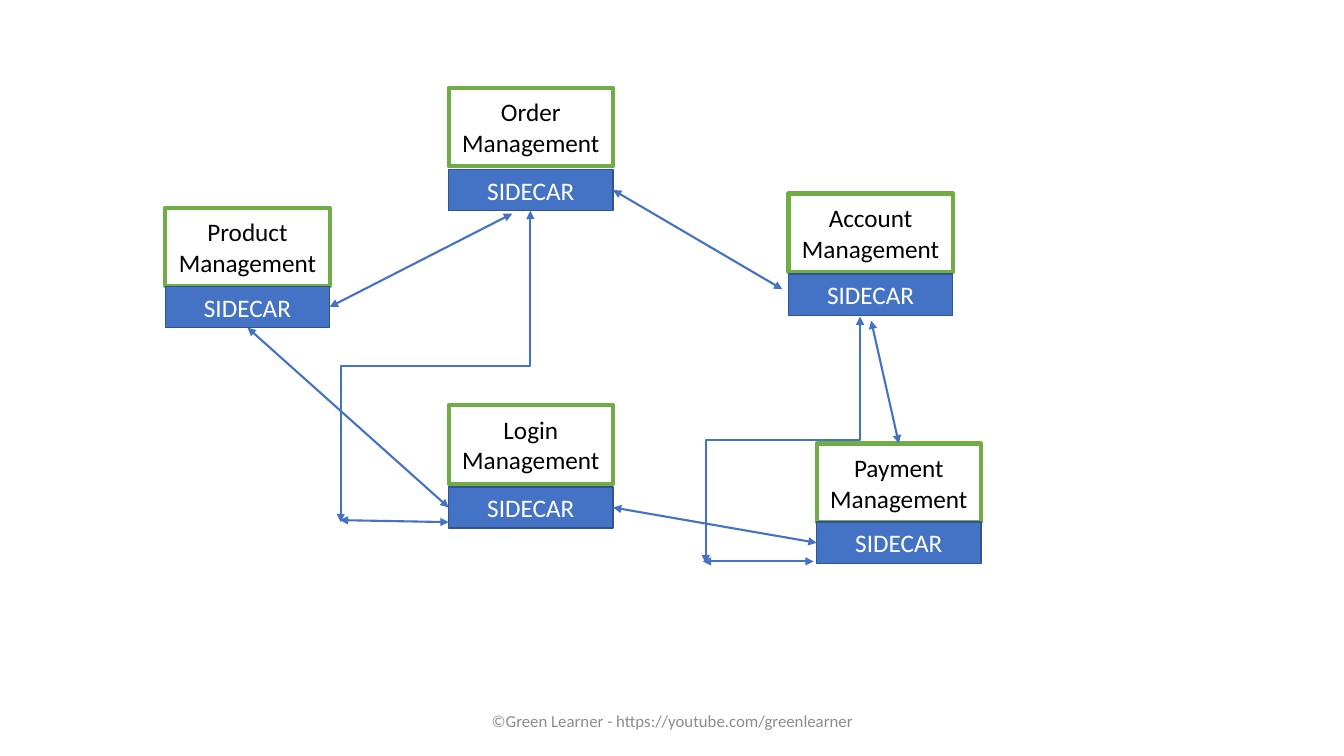
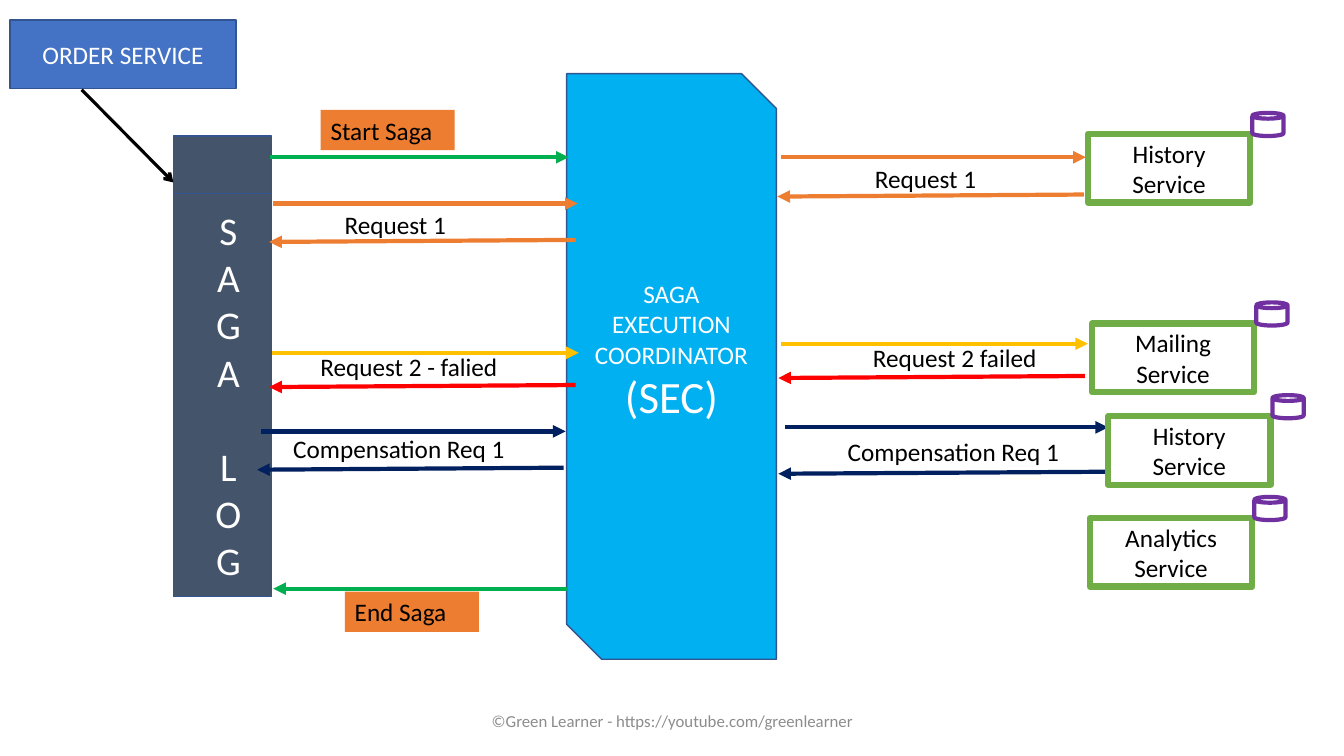
"""Build two slides: a sidecar service mesh and a saga execution flow."""
from lxml import etree
from pptx import Presentation
from pptx.dml.color import RGBColor
from pptx.enum.shapes import MSO_CONNECTOR, MSO_SHAPE
from pptx.enum.text import MSO_ANCHOR, MSO_AUTO_SIZE, PP_ALIGN
from pptx.oxml.ns import qn
from pptx.util import Inches, Pt

RECTANGLE = MSO_SHAPE.RECTANGLE
CAN = MSO_SHAPE.CAN
LOG_SHAPE = MSO_SHAPE.FLOWCHART_INTERNAL_STORAGE
SNIPPED = MSO_SHAPE.SNIP_2_DIAG_RECTANGLE
STRAIGHT = MSO_CONNECTOR.STRAIGHT
ELBOW = MSO_CONNECTOR.ELBOW
LEFT, CENTER = PP_ALIGN.LEFT, PP_ALIGN.CENTER
TOP, MIDDLE = MSO_ANCHOR.TOP, MSO_ANCHOR.MIDDLE
FIT_SHAPE = MSO_AUTO_SIZE.SHAPE_TO_FIT_TEXT
TOP_SIDE, LEFT_SIDE, BOTTOM_SIDE, RIGHT_SIDE = range(4)

FONT = "Calibri"
WHITE = RGBColor(0xFF, 0xFF, 0xFF)
BLACK = RGBColor(0x00, 0x00, 0x00)
GREY = RGBColor(0x8C, 0x8C, 0x8C)
BLUE = RGBColor(0x44, 0x72, 0xC4)
DARK_BLUE = RGBColor(0x32, 0x54, 0x91)
SKY = RGBColor(0x00, 0xB0, 0xF0)
SLATE = RGBColor(0x44, 0x54, 0x6A)
NAVY = RGBColor(0x00, 0x20, 0x60)
LIGHT_GREEN = RGBColor(0x70, 0xAD, 0x47)
GREEN = RGBColor(0x00, 0xB0, 0x50)
ORANGE = RGBColor(0xED, 0x7D, 0x31)
YELLOW = RGBColor(0xFF, 0xC0, 0x00)
RED = RGBColor(0xFF, 0x00, 0x00)
PURPLE = RGBColor(0x70, 0x30, 0xA0)
FOOTER = "©Green Learner - https://youtube.com/greenlearner"


def add_box(slide, text, place, kind=None, fill=None, line=None, width=1,
            size=18, color=BLACK, align=CENTER, anchor=MIDDLE, fit=False):
    """Add a shape, or a text box when no kind is given, one paragraph per text line."""
    bounds = [Inches(length) for length in place]
    if kind is None:
        shape = slide.shapes.add_textbox(*bounds)
    else:
        shape = slide.shapes.add_shape(kind, *bounds)
        shape.shadow.inherit = False
    if fill is not None:
        shape.fill.solid()
        shape.fill.fore_color.rgb = fill
    if line is not None:
        shape.line.color.rgb = line
        shape.line.width = Pt(width)
    frame = shape.text_frame
    frame.word_wrap = True
    frame.vertical_anchor = anchor
    if fit:
        frame.auto_size = FIT_SHAPE
    frame.text = text
    for paragraph in frame.paragraphs:
        paragraph.alignment = align
        paragraph.font.name = FONT
        paragraph.font.size = Pt(size)
        paragraph.font.color.rgb = color
    return shape


def add_arrow(slide, start, end, color=BLUE, width=1.5, head=None, tail="triangle", kind=STRAIGHT):
    """Add an arrow; an elbow leaves its start vertically."""
    if kind == ELBOW:
        middle_x, middle_y = (start[0] + end[0]) / 2, (start[1] + end[1]) / 2
        half_x, half_y = (end[1] - start[1]) / 2, (start[0] - end[0]) / 2
        start = middle_x - half_x, middle_y - half_y
        end = middle_x + half_x, middle_y + half_y
    connector = slide.shapes.add_connector(kind, *[Inches(length) for length in (*start, *end)])
    connector.line.color.rgb = color
    connector.line.width = Pt(width)
    properties = connector._element.spPr
    if kind == ELBOW:
        properties.find(qn("a:xfrm")).set("rot", "5400000")
    outline = properties.find(qn("a:ln"))
    for tag, style in (("a:headEnd", head), ("a:tailEnd", tail)):
        if style:
            etree.SubElement(outline, qn(tag)).set("type", style)
    etree.SubElement(properties, qn("a:effectLst"))
    return connector


presentation = Presentation()
presentation.slide_width = Inches(13.33)
presentation.slide_height = Inches(7.5)
blank_layout = presentation.slide_layouts[6]
mesh_slide, saga_slide = [presentation.slides.add_slide(blank_layout) for _ in range(2)]
for slide in (mesh_slide, saga_slide):
    add_box(slide, FOOTER, (4.42, 6.95, 4.5, 0.4), size=12, color=GREY)

services = [
    ("Order", 4.45, 0.87, 1.68),
    ("Login", 4.45, 4.02, 4.83),
    ("Account", 7.82, 1.92, 2.72),
    ("Payment", 8.1, 4.4, 5.18),
    ("Product", 1.64, 2.06, 2.84),
]
managers, sidecars = {}, {}
for name, left, top, sidecar_top in services:
    managers[name] = add_box(mesh_slide, f"{name} Management", (left, top, 1.63, 0.78), RECTANGLE,
                             fill=WHITE, line=LIGHT_GREEN, width=3)
    sidecars[name] = add_box(mesh_slide, "SIDECAR", (left, sidecar_top, 1.63, 0.41), RECTANGLE,
                             fill=BLUE, line=DARK_BLUE, color=WHITE)

mesh_links = [
    ((3.27, 3.05), (5.08, 2.12), (sidecars["Product"], RIGHT_SIDE), None),
    ((6.08, 1.89), (7.76, 2.87), (sidecars["Order"], RIGHT_SIDE), None),
    ((8.64, 3.18), (8.92, 4.4), None, (managers["Payment"], TOP_SIDE)),
    ((2.46, 3.25), (4.45, 5.03), (sidecars["Product"], BOTTOM_SIDE), (sidecars["Login"], LEFT_SIDE)),
    ((6.08, 5.03), (8.07, 5.41), (sidecars["Login"], RIGHT_SIDE), (sidecars["Payment"], LEFT_SIDE)),
    ((3.37, 5.16), (4.45, 5.18), None, None),
    ((6.97, 5.57), (8.07, 5.57), None, None),
]
for start, end, begin_joint, end_joint in mesh_links:
    connector = add_arrow(mesh_slide, start, end, head="triangle")
    if begin_joint:
        connector.begin_connect(*begin_joint)
    if end_joint:
        connector.end_connect(*end_joint)
for start, end in (((5.26, 2.09), (3.38, 5.18)), ((8.53, 3.14), (7, 5.59))):
    add_arrow(mesh_slide, start, end, head="triangle", kind=ELBOW)

add_box(saga_slide, "ORDER SERVICE", (0.1, 0.2, 2.24, 0.68), RECTANGLE,
        fill=BLUE, line=DARK_BLUE, color=WHITE)
saga_log = add_box(saga_slide, "\n".join("SAGALOG"), (1.72, 1.35, 0.97, 4.57), LOG_SHAPE,
                   fill=SLATE, line=DARK_BLUE, size=28, color=WHITE)
saga_log.text_frame.paragraphs[4].space_before = Pt(34)
coordinator = add_box(saga_slide, "SAGA\nEXECUTION\nCOORDINATOR\n(SEC)", (5.62, 0.73, 2.08, 5.81),
                      SNIPPED, fill=SKY, line=DARK_BLUE, color=WHITE)
coordinator.text_frame.margin_bottom = Inches(0.36)
coordinator.text_frame.paragraphs[3].font.size = Pt(32)

saga_arrows = [
    (GREEN, (2.68, 1.56), (5.64, 1.56)),
    (ORANGE, (7.75, 1.56), (10.77, 1.56)),
    (YELLOW, (7.75, 3.41), (10.79, 3.41)),
    (NAVY, (7.79, 4.24), (10.99, 4.24)),
    (ORANGE, (10.75, 1.93), (7.71, 1.95)),
    (RED, (10.76, 3.73), (7.72, 3.75)),
    (NAVY, (10.99, 4.68), (7.72, 4.7)),
    (ORANGE, (2.71, 2.02), (5.73, 2.02)),
    (ORANGE, (5.71, 2.38), (2.67, 2.4)),
    (YELLOW, (2.7, 3.5), (5.74, 3.5)),
    (RED, (5.71, 3.82), (2.67, 3.84)),
    (NAVY, (2.59, 4.28), (5.61, 4.28)),
    (NAVY, (5.59, 4.64), (2.55, 4.66)),
    (GREEN, (5.62, 5.84), (2.71, 5.84)),
]
for color, start, end in saga_arrows:
    add_arrow(saga_slide, start, end, color=color, width=3)

saga_labels = [
    ("Request 1", 3.32, 2.03, 1.33, None),
    ("Request 1", 8.58, 1.57, 1.33, None),
    ("Request 2 failed", 8.56, 3.35, 2.06, None),
    ("Request 2 - falied", 3.08, 3.44, 2.25, None),
    ("Compensation Req 1", 8.31, 4.28, 2.43, None),
    ("Compensation Req 1", 2.81, 4.25, 2.52, None),
    ("End Saga", 3.42, 5.87, 1.33, ORANGE),
    ("Start Saga", 3.18, 1.09, 1.33, ORANGE),
]
for text, left, top, label_width, fill in saga_labels:
    add_box(saga_slide, text, (left, top, label_width, 0.4), fill=fill,
            align=LEFT, anchor=TOP, fit=True)

saga_services = [
    ("History", 10.79, 1.33),
    ("Mailing", 10.83, 3.21),
    ("Analytics", 10.81, 5.14),
    ("History", 10.99, 4.13),
]
for name, left, top in saga_services:
    add_box(saga_slide, f"{name} Service", (left, top, 1.61, 0.68), RECTANGLE,
            fill=WHITE, line=LIGHT_GREEN, width=4.5)
    add_box(saga_slide, "", (left + 1.63, top - 0.21, 0.31, 0.23), CAN,
            fill=WHITE, line=PURPLE, width=3)
add_arrow(saga_slide, (0.81, 0.89), (1.72, 1.81), color=BLACK, width=2.25, tail="arrow")

presentation.save("out.pptx")
